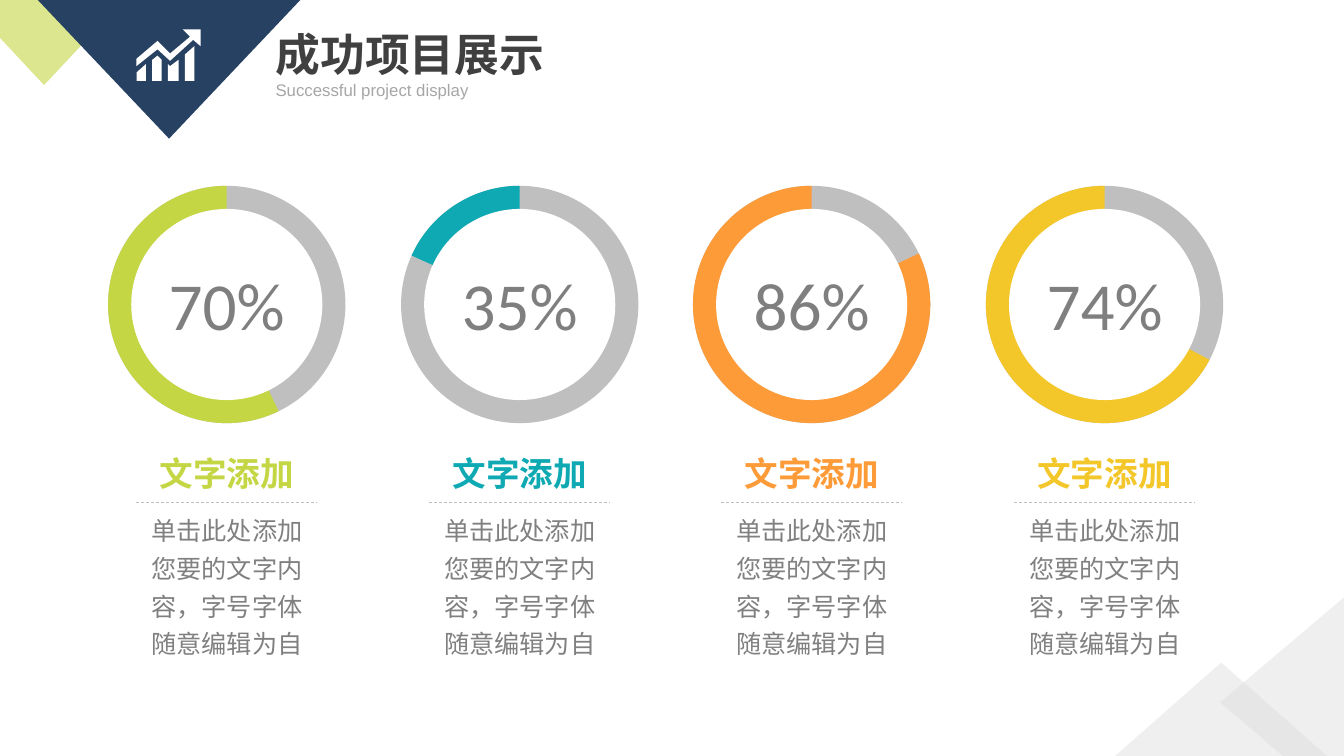
from lxml.etree import SubElement
from pptx import Presentation
from pptx.dml.color import RGBColor
from pptx.enum.dml import MSO_LINE
from pptx.enum.shapes import MSO_CONNECTOR, MSO_SHAPE
from pptx.enum.text import MSO_AUTO_SIZE as AutoSize, PP_ALIGN as Align
from pptx.oxml.ns import qn
from pptx.util import Pt

EMU_PER_PX = 9525
COLORS = {
    "navy": "274162", "lime": "C4D644", "teal": "0EA9B2", "orange": "FE9B39",
    "yellow": "F3C72A", "white": "FFFFFF", "pale": "D9D9D9", "track": "BFBFBF",
    "title": "404040", "subtitle": "A6A6A6", "percent": "7F7F7F", "body": "808080",
}
CJK = "Noto Sans CJK SC"
BODY = "单击此处添加您要的文字内容，字号字体随意编辑为自"

# Percentage label, accent colour, angle in degrees where the coloured arc starts
PROJECTS = [
    ("70%", "lime", 64.04),
    ("35%", "teal", 204.36),
    ("86%", "orange", 334.56),
    ("74%", "yellow", 27.79),
]
FIRST_CENTER, CENTER_SPAN = 216, 836
RING_TOP, RING_SIZE, HOLE_SIZE = 177, 226, 182

ICON_BARS = [
    [(130, 77), (139, 77), (139, 61), (130, 69)],
    [(145, 57), (145, 77), (154, 77), (154, 57), (150, 53)],
    [(160, 61), (160, 77), (170, 77), (170, 57), (162, 63)],
    [(176, 52), (176, 77), (185, 77), (185, 44)],
]
ICON_ARROW = [
    (191, 28), (174, 28), (181, 35), (162, 51), (150, 39), (130, 56),
    (130, 63), (150, 47), (162, 58), (184, 38), (191, 44),
]


def px(*lengths):
    return [length * EMU_PER_PX for length in lengths]


def rgb(color):
    return RGBColor.from_string(COLORS[color])


def paint(shape, color, opacity=100):
    shape.shadow.inherit = False
    shape.line.fill.background()
    shape.fill.solid()
    shape.fill.fore_color.rgb = rgb(color)
    if opacity < 100:
        tone = shape.fill._xPr.find(qn("a:solidFill"))[0]
        SubElement(tone, qn("a:alpha"), val=str(opacity * 1000))
    return shape


def add_preset(page, kind, left, top, width, height, color, opacity=100):
    shape = page.shapes.add_shape(kind, *px(left, top, width, height))
    return paint(shape, color, opacity)


def add_outline(page, contours, color, opacity=100):
    builder = page.shapes.build_freeform(*contours[0][0], scale=EMU_PER_PX)
    for number, points in enumerate(contours):
        if number:
            builder.move_to(*points[0])
        builder.add_line_segments(points[1:], close=True)
    return paint(builder.convert_to_shape(), color, opacity)


def add_text(page, text, left, top, width, height, *, size, color, font=CJK,
             bold=False, align=Align.LEFT, wrap=True, spacing=None):
    box = page.shapes.add_textbox(*px(left, top, width, height))
    frame = box.text_frame
    frame.word_wrap = wrap
    frame.auto_size = AutoSize.SHAPE_TO_FIT_TEXT
    para = frame.paragraphs[0]
    para.alignment = align
    if spacing:
        para.line_spacing = spacing
    span = para.add_run()
    span.text = text
    span.font.size = Pt(size)
    span.font.bold = bold
    span.font.color.rgb = rgb(color)
    span.font.name = font
    SubElement(span.font._element, qn("a:ea"), typeface=font)


def add_centered(page, text, center, top, width, height, **style):
    add_text(page, text, center - width // 2, top, width, height,
             align=Align.CENTER, **style)


def add_divider(page, left, right, y):
    divider = page.shapes.add_connector(MSO_CONNECTOR.STRAIGHT,
                                        *px(left, y, right, y))
    divider.line.color.rgb = rgb("track")
    divider.line.width = Pt(0.5)
    divider.line.dash_style = MSO_LINE.DASH
    SubElement(divider._element.spPr, qn("a:effectLst"))


def add_ring(page, center, color, start):
    left = center - RING_SIZE // 2
    ring = (left, RING_TOP, RING_SIZE, RING_SIZE)
    add_preset(page, MSO_SHAPE.OVAL, *ring, "track")
    arc = add_preset(page, MSO_SHAPE.PIE, *ring, color)
    # One degree is 60000 units; adjustments count in 100000s
    arc.adjustments[0] = start * 0.6
    arc.adjustments[1] = 270 * 0.6
    inset = (RING_SIZE - HOLE_SIZE) // 2
    add_preset(page, MSO_SHAPE.OVAL, left + inset, RING_TOP + inset,
               HOLE_SIZE, HOLE_SIZE, "white")


def add_project(page, center, percent, color, start):
    add_ring(page, center, color, start)
    add_centered(page, percent, center, 246, 132, 87, size=48,
                 color="percent", font="Calibri", wrap=False)
    add_centered(page, "文字添加", center, 427, 150, 48, size=24,
                 color=color, bold=True, wrap=False)
    add_centered(page, BODY, center, 479, 172, 156, size=18,
                 color="body", spacing=1.25)
    add_divider(page, center - 86, center + 86, 478)


def add_decoration(page):
    # Pale corner at the bottom right
    add_preset(page, MSO_SHAPE.ISOSCELES_TRIANGLE, 1062, 631, 202, 89, "pale", 40)
    add_outline(page, [[(1280, 569), (1280, 720), (1222, 720), (1162, 669)]],
                "pale", 40)
    # Header triangles at the top left
    add_outline(page, [[(0, 0), (118, 0), (42, 81), (0, 36)]], "lime", 60)
    badge = add_preset(page, MSO_SHAPE.ISOSCELES_TRIANGLE, 36, 0, 250, 132, "navy")
    badge.rotation = 180
    # Growth icon
    add_outline(page, ICON_BARS, "white")
    add_outline(page, [ICON_ARROW], "white")


def main():
    deck = Presentation()
    deck.slide_width, deck.slide_height = px(1280, 720)
    page = deck.slides.add_slide(deck.slide_layouts[6])

    add_decoration(page)

    # Heading
    add_text(page, "成功项目展示", 253, 21, 512, 61, size=32, color="title", bold=True)
    add_text(page, "Successful project display", 253, 71, 275, 29, size=12,
             color="subtitle", font="Arial", align=Align.JUSTIFY)

    # Four project columns, evenly spread
    for column, project in enumerate(PROJECTS):
        offset = round(column * CENTER_SPAN / (len(PROJECTS) - 1))
        add_project(page, FIRST_CENTER + offset, *project)

    deck.save("out.pptx")


if __name__ == "__main__":
    main()
